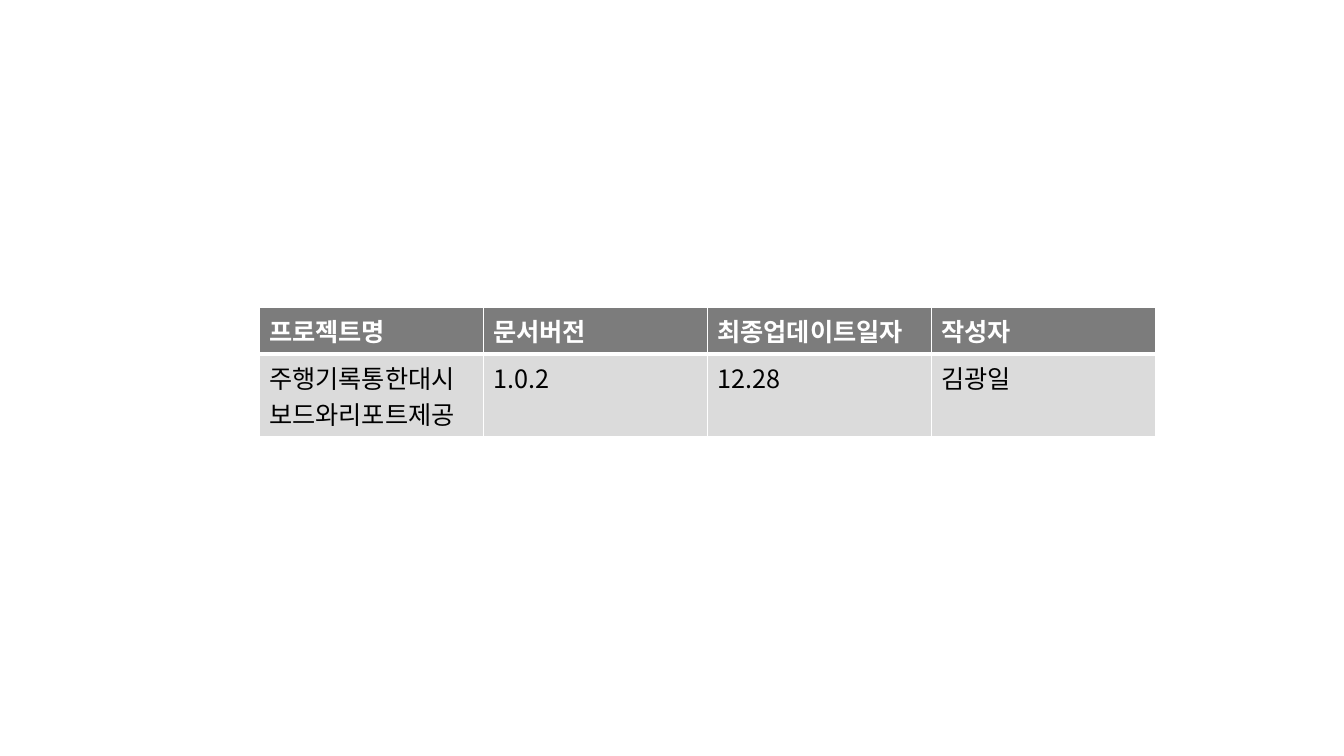
import lxml.etree
import pptx
import pptx.dml.color
import pptx.oxml.ns
import pptx.util

Inches = pptx.util.Inches
qn = pptx.oxml.ns.qn

COLORS = {"header": "7C7C7C", "body": "DBDBDB", "white": "FFFFFF", "black": "000000"}
FONT = "Noto Sans CJK KR"
PROJECT_INFO = [
    ["프로젝트명", "문서버전", "최종업데이트일자", "작성자"],
    ["주행기록통한대시보드와리포트제공", "1.0.2", "12.28", "김광일"],
]


def rgb(name):
    return pptx.dml.color.RGBColor.from_string(COLORS[name])


def add_borders(cell, widths):
    """Draw white cell borders; widths in points: left, right, top, bottom."""
    properties = cell._tc.get_or_add_tcPr()
    for side, width in zip("LRTB", widths):
        border = lxml.etree.SubElement(
            properties, qn(f"a:ln{side}"), w=str(pptx.util.Pt(width)))
        fill = lxml.etree.SubElement(border, qn("a:solidFill"))
        lxml.etree.SubElement(fill, qn("a:srgbClr"), val=COLORS["white"])


def format_cell(cell, text, is_header):
    # Borders come before the fill in the cell properties
    add_borders(cell, (1, 1, 1, 3) if is_header else (1, 1, 3, 1))
    cell.fill.solid()
    cell.fill.fore_color.rgb = rgb("header" if is_header else "body")

    cell.text_frame.text = text
    run = cell.text_frame.paragraphs[0].runs[0]
    run.font.name = FONT
    run.font.size = pptx.util.Pt(18)
    run.font.bold = is_header
    run.font.color.rgb = rgb("white" if is_header else "black")
    lxml.etree.SubElement(run.font._element, qn("a:ea"), typeface=FONT)


def add_project_table(slide, left, top, width, row_height):
    row_count, column_count = len(PROJECT_INFO), len(PROJECT_INFO[0])
    table = slide.shapes.add_table(
        row_count, column_count, Inches(left), Inches(top),
        Inches(width), Inches(row_height * row_count)).table
    for row, values in enumerate(PROJECT_INFO):
        for column, text in enumerate(values):
            format_cell(table.cell(row, column), text, is_header=row == 0)


presentation = pptx.Presentation()
presentation.slide_width = Inches(13.33)
presentation.slide_height = Inches(7.5)
project_slide = presentation.slides.add_slide(presentation.slide_layouts[6])

# Project information table
add_project_table(project_slide, left=2.57, top=3.05, width=8.89, row_height=0.41)

presentation.save("out.pptx")
